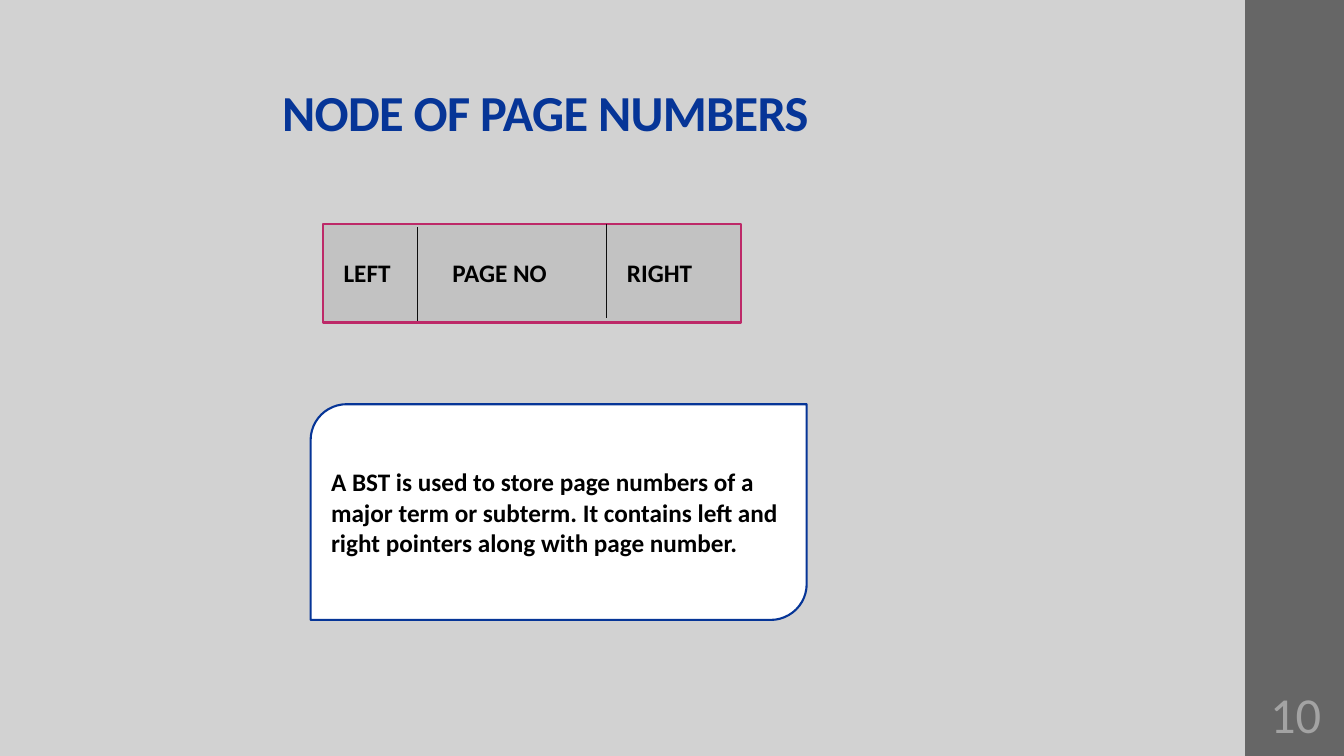
from dataclasses import dataclass
from typing import NamedTuple, Optional

from lxml.etree import SubElement
from pptx import Presentation
from pptx.dml.color import RGBColor
from pptx.enum.shapes import MSO_CONNECTOR as Connector, MSO_SHAPE as Preset
from pptx.enum.text import MSO_ANCHOR as Anchor, MSO_AUTO_SIZE as AutoSize, PP_ALIGN as Align
from pptx.oxml.ns import qn
from pptx.util import Inches, Pt

WIDTH, HEIGHT = Inches(13.33), Inches(7.5)


@dataclass(frozen=True)
class Theme:
    """Colours, font and type sizes of the slide."""
    font: str = "Calibri"
    backdrop: str = "D2D2D2"
    band: str = "666666"
    blue: str = "063597"
    node_fill: str = "C2C2C2"
    node_line: str = "BD2968"
    divider: str = "0D0D0D"
    number: str = "A3A3A3"
    ink: str = "000000"
    paper: str = "FFFFFF"
    large: int = 36
    normal: int = 18


class Area(NamedTuple):
    """A rectangle in percent of the slide's width and height."""
    left: float
    top: float
    width: float
    height: float


class Panel(NamedTuple):
    """A filled preset shape with an optional outline."""
    area: Area
    preset: Preset
    fill: str
    line: Optional[str] = None


class Field(NamedTuple):
    """A field of the node: label and its tab offset in percent of the width."""
    label: str
    tab: float


class Divider(NamedTuple):
    """A vertical rule between two fields, in percent of the slide."""
    x: float
    top: float


THEME = Theme()
TITLE_AREA = Area(14.55, 2.8, 67.52, 16.67)
LABEL_AREA = Area(24.83, 33.33, 31.06, 5.33)
NUMBER_AREA = Area(92.65, 90, 7.5, 8.67)
BAND = Panel(Area(92.65, 0, 7.5, 100), Preset.RECTANGLE, THEME.band)
NODE = Panel(Area(24.01, 29.6, 31.13, 13.07), Preset.RECTANGLE, THEME.node_fill, THEME.node_line)
NOTE = Panel(Area(23.11, 53.47, 36.91, 28.53), Preset.ROUND_2_DIAG_RECTANGLE, THEME.paper, THEME.blue)
FIELDS = (Field("LEFT", 0), Field("PAGE NO", 8.1), Field("RIGHT", 21.08))
DIVIDERS = (Divider(31.06, 30), Divider(45.16, 29.6))
DIVIDER_HEIGHT = 12.53


def across(share: float) -> int:
    """Turn a percentage of the slide's width into a length."""
    return round(WIDTH * share / 100)


def down(share: float) -> int:
    """Turn a percentage of the slide's height into a length."""
    return round(HEIGHT * share / 100)


def frame(area: Area) -> tuple[int, int, int, int]:
    """Return left, top, width and height as lengths."""
    return across(area.left), down(area.top), across(area.width), down(area.height)


def rgb(colour: str) -> RGBColor:
    """Read a theme colour."""
    return RGBColor.from_string(colour)


def add_run(paragraph, words: str, size: int, colour: str, bold: bool = True):
    """Append one formatted run and return it."""
    run = paragraph.add_run()
    run.text = words
    run.font.name, run.font.size, run.font.bold = THEME.font, Pt(size), bold
    run.font.color.rgb = rgb(colour)
    return run


def add_panel(slide, panel: Panel):
    """Draw a panel and return its shape."""
    shape = slide.shapes.add_shape(panel.preset, *frame(panel.area))
    shape.shadow.inherit = False
    shape.fill.solid()
    shape.fill.fore_color.rgb = rgb(panel.fill)
    if panel.line:
        shape.line.color.rgb = rgb(panel.line)
        shape.line.width = Pt(1.5)
    else:
        shape.line.fill.background()
    return shape


def add_divider(slide, divider: Divider) -> None:
    """Draw a rule between two fields of the node."""
    x = across(divider.x)
    rule = slide.shapes.add_connector(
        Connector.STRAIGHT, x, down(divider.top), x, down(divider.top + DIVIDER_HEIGHT))
    rule.line.color.rgb = rgb(THEME.divider)
    rule.line.width = Pt(0.79)
    SubElement(rule._element.spPr, qn("a:effectLst"))


def fill_title(slide) -> None:
    """Place and format the title."""
    title = slide.shapes.title
    title.left, title.top, title.width, title.height = frame(TITLE_AREA)
    text = title.text_frame
    text.auto_size, text.vertical_anchor = AutoSize.NONE, Anchor.BOTTOM
    text.margin_left, text.margin_top = Inches(0.86), Inches(0.03)
    heading = text.paragraphs[0]
    heading.alignment, heading.line_spacing = Align.LEFT, 0.9
    run = add_run(heading, "NODE OF PAGE NUMBERS", THEME.large, THEME.blue)
    run.font._element.set("spc", "-50")


def add_field_labels(slide) -> None:
    """Write the field labels on one line, aligned by tab stops."""
    text = slide.shapes.add_textbox(*frame(LABEL_AREA)).text_frame
    text.word_wrap = True
    line = text.paragraphs[0]
    stops = SubElement(line._p.get_or_add_pPr(), qn("a:tabLst"))
    for field in FIELDS:
        if field.tab:
            SubElement(stops, qn("a:tab"), pos=str(across(field.tab)), algn="l")
        add_run(line, ("\t" if field.tab else "") + field.label, THEME.normal, THEME.ink)


def add_page_number(slide) -> None:
    """Write the slide's number on the side band."""
    text = slide.shapes.add_textbox(*frame(NUMBER_AREA)).text_frame
    text.word_wrap, text.vertical_anchor = True, Anchor.MIDDLE
    text.margin_left = text.margin_right = Inches(0.05)
    text.paragraphs[0].alignment = Align.CENTER
    add_run(text.paragraphs[0], "10", THEME.large, THEME.number, bold=False)


def add_note(slide) -> None:
    """Draw the box that explains the node."""
    text = add_panel(slide, NOTE).text_frame
    text.word_wrap, text.vertical_anchor = True, Anchor.MIDDLE
    text.paragraphs[0].alignment = Align.LEFT
    add_run(text.paragraphs[0],
            "A BST is used to store page numbers of a major term or subterm. "
            "It contains left and right pointers along with page number.",
            THEME.normal, THEME.ink)


def main() -> None:
    """Build and save the slide."""
    deck = Presentation()
    deck.slide_width, deck.slide_height = WIDTH, HEIGHT
    slide = deck.slides.add_slide(deck.slide_layouts.get_by_name("Title Only"))
    slide.background.fill.solid()
    slide.background.fill.fore_color.rgb = rgb(THEME.backdrop)
    add_panel(slide, BAND)
    fill_title(slide)
    add_panel(slide, NODE)
    for divider in DIVIDERS:
        add_divider(slide, divider)
    add_field_labels(slide)
    add_page_number(slide)
    add_note(slide)
    deck.save("out.pptx")


main()
